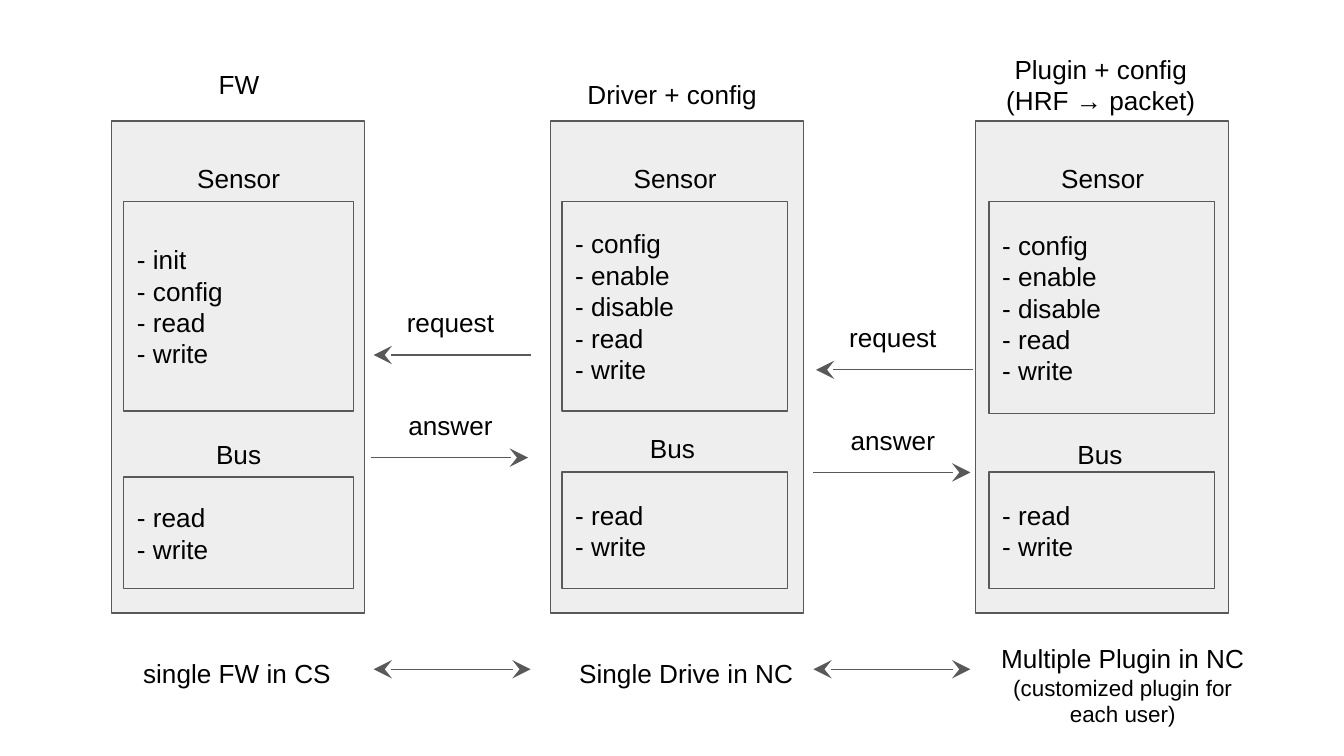
from pptx import Presentation
from pptx.dml.color import RGBColor
from pptx.enum import shapes, text
from pptx.oxml import parse_xml
from pptx.oxml.ns import nsdecls
from pptx.util import Cm, Pt

GREY, PANEL, BLACK = "595959", "EEEEEE", "000000"
PANEL_TOP, PANEL_W, PANEL_H = 2.29, 4.78, 9.3
SENSOR_TOP, BOX_BOTTOM = 3.81, 11.13
LABEL_W, LABEL_H = 3.02, 0.99
ARROW_W, ANSWER_DROP, LINK_Y = 2.97, 1.94, 12.65

# Text boxes are (left, top, width, height) in cm
COLUMNS = [
    {"left": 2.11, "title": ["FW"], "title_at": (3.81, 1.04, 1.42, 0.99),
     "sensor": ["init", "config", "read", "write"],
     "box": (2.34, 4.34), "sensor_h": 3.96, "bus_top": 9.02,
     "sensor_label": (3, 2.82), "bus_label": (3, 8.03),
     "caption": ["single FW in CS"], "caption_at": (1.75, 12.17, 5.46, 0.99)},
    {"left": 10.41, "title": ["Driver + config"], "title_at": (10.8, 1.24, 3.81, 1.12),
     "sensor": ["config", "enable", "disable", "read", "write"],
     "box": (10.62, 4.27), "sensor_h": 3.96, "bus_top": 8.92,
     "sensor_label": (11.25, 2.82), "bus_label": (11.2, 7.92),
     "caption": ["Single Drive in NC"], "caption_at": (10.24, 12.17, 5.46, 0.99)},
    {"left": 18.44, "title": ["Plugin + config", "(HRF → packet)"],
     "title_at": (18.67, 0.76, 4.27, 1.5),
     "sensor": ["config", "enable", "disable", "read", "write"],
     "box": (18.69, 4.27), "sensor_h": 4.01, "bus_top": 8.92,
     "sensor_label": (19.33, 2.82), "bus_label": (19.28, 8.03),
     "caption": ["Multiple Plugin in NC", "(customized plugin for each user)"],
     "caption_at": (18.49, 11.89, 5.46, 2.11)},
]
BUS = ["read", "write"]
# Left end and height of the request arrow, left end of the link below
GAPS = [(7.06, 6.71, 7.06), (15.42, 6.99, 15.37)]


def rgb(value):
    return RGBColor.from_string(value)


def write(shape, lines, align, anchor, sizes=(14, 14)):
    """Write one paragraph per line; sizes are for the first line and the rest."""
    tf = shape.text_frame
    tf.word_wrap = True
    tf.vertical_anchor = anchor
    tf.margin_left = tf.margin_right = tf.margin_top = tf.margin_bottom = Cm(0.25)
    tf.text = "\n".join(lines)
    for i, p in enumerate(tf.paragraphs):
        p.alignment = align
        p.font.name = "Arial"
        p.font.size = Pt(sizes[min(i, 1)])
        p.font.color.rgb = rgb(BLACK)


def add_label(s, at, lines, sizes=(14, 14)):
    box = s.shapes.add_textbox(*map(Cm, at))
    write(box, lines, text.PP_ALIGN.CENTER, text.MSO_ANCHOR.TOP, sizes)


def add_rect(s, at, fill=None):
    rect = s.shapes.add_shape(shapes.MSO_SHAPE.RECTANGLE, *map(Cm, at))
    rect.shadow.inherit = False
    if fill:
        rect.fill.solid()
        rect.fill.fore_color.rgb = rgb(fill)
    else:
        rect.fill.background()
    rect.line.color.rgb = rgb(GREY)
    rect.line.width = Pt(0.75)
    return rect


def add_list(s, at, items):
    write(add_rect(s, at), [f"- {item}" for item in items],
          text.PP_ALIGN.LEFT, text.MSO_ANCHOR.MIDDLE)


def add_arrow(s, x1, x2, y, ends=("tailEnd",)):
    line = s.shapes.add_connector(shapes.MSO_CONNECTOR.STRAIGHT,
                                  Cm(x1), Cm(y), Cm(x2), Cm(y))
    line.line.color.rgb = rgb(GREY)
    line.line.width = Pt(0.75)
    ln = line.line._get_or_add_ln()
    for end in ends:
        ln.append(parse_xml(f'<a:{end} {nsdecls("a")} type="stealth" w="lg" len="lg"/>'))
    line._element.spPr.append(parse_xml(f'<a:effectLst {nsdecls("a")}/>'))


def add_column(s, col):
    x, w = col["box"]
    bus_top = col["bus_top"]
    add_rect(s, (col["left"], PANEL_TOP, PANEL_W, PANEL_H), PANEL)
    add_label(s, col["title_at"], col["title"])
    add_list(s, (x, SENSOR_TOP, w, col["sensor_h"]), col["sensor"])
    add_list(s, (x, bus_top, w, BOX_BOTTOM - bus_top), BUS)
    add_label(s, (*col["sensor_label"], LABEL_W, LABEL_H), ["Sensor"])
    add_label(s, (*col["bus_label"], LABEL_W, LABEL_H), ["Bus"])
    add_label(s, col["caption_at"], col["caption"], sizes=(14, 12))


def add_exchange(s, x, y, link_x):
    """Draw request, answer and the two-way link between neighbouring columns."""
    answer_x, answer_y = x - 0.05, y + ANSWER_DROP
    add_arrow(s, x + ARROW_W, x, y)
    add_arrow(s, answer_x, answer_x + ARROW_W, answer_y)
    add_arrow(s, link_x, link_x + ARROW_W, LINK_Y, ("headEnd", "tailEnd"))
    for word, line_y in (("request", y), ("answer", answer_y)):
        add_label(s, (x + 0.3, line_y - 1.16, 2.31, LABEL_H), [word])


def main():
    prs = Presentation()
    prs.slide_width, prs.slide_height = Cm(25.4), Cm(14.29)
    s = prs.slides.add_slide(prs.slide_layouts[6])
    for col in COLUMNS:
        add_column(s, col)
    for gap in GAPS:
        add_exchange(s, *gap)
    prs.save("out.pptx")


if __name__ == "__main__":
    main()
